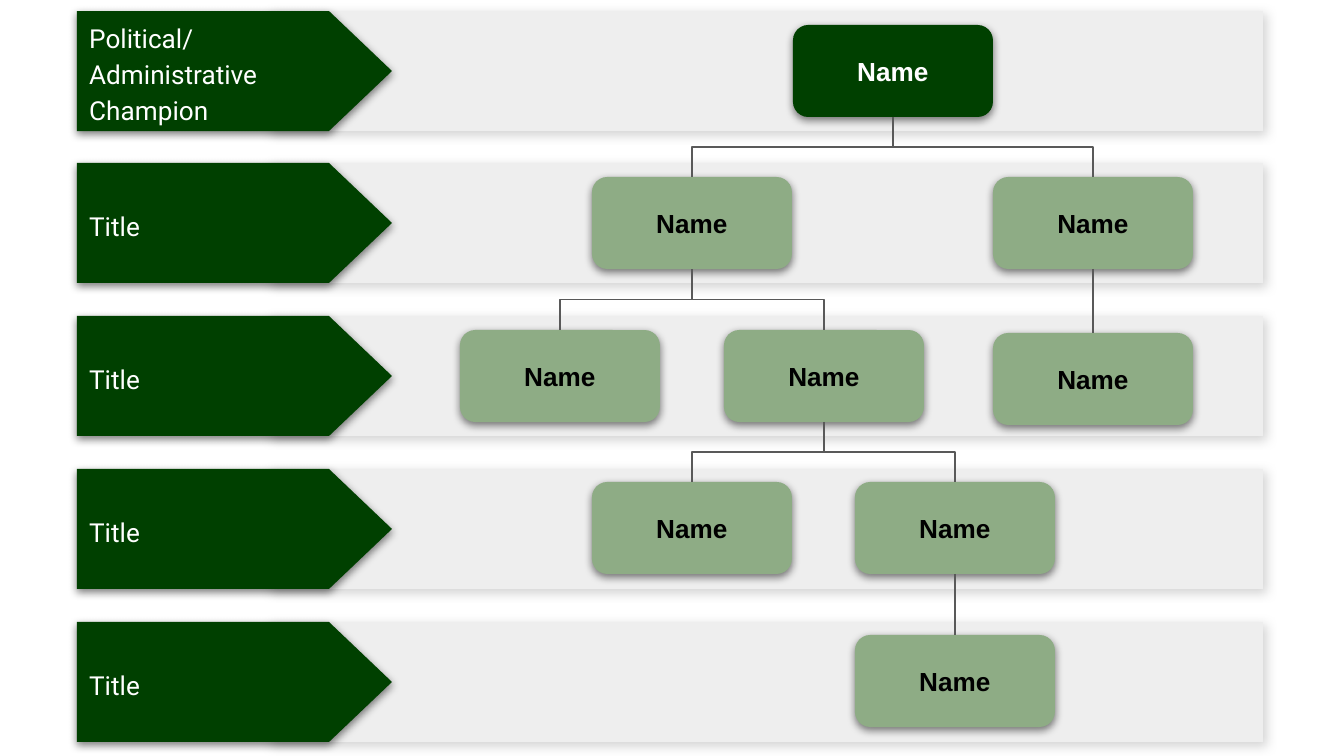
from lxml import etree
from pptx import Presentation
from pptx import util as u
from pptx.dml.color import RGBColor
from pptx.enum import shapes, text
from pptx.oxml.ns import qn

PX = u.Inches(10) / 1344
ROW_TOP, ROW_HEIGHT = 11, 120
NAME_WIDTH, NAME_HEIGHT = 200, 92
DARK, LIGHT, BAND = "004000", "8EAC85", "EEEEEE"
WHITE, BLACK, LINE = "FFFFFF", "000000", "595959"
BAND_SHADOW = {"alpha": 17, "blur": 5.6, "distance": 2.2, "angle": 45}
SHAPE_SHADOW = {"alpha": 50, "blur": 4.5, "distance": 1.5, "angle": 90}
TITLES = [["Political/", "Administrative Champion"], ["Title"], ["Title"], ["Title"], ["Title"]]
PEOPLE = {
    "champion": (0, 793, 14, DARK, WHITE),
    "left lead": (1, 592, 14, LIGHT, BLACK),
    "right lead": (1, 993, 14, LIGHT, BLACK),
    "left member": (2, 460, 14, LIGHT, BLACK),
    "middle member": (2, 724, 14, LIGHT, BLACK),
    "right member": (2, 993, 17, LIGHT, BLACK),
    "left report": (3, 592, 13, LIGHT, BLACK),
    "right report": (3, 855, 13, LIGHT, BLACK),
    "last report": (4, 855, 13, LIGHT, BLACK),
}
LINKS = [
    ("champion", "left lead"),
    ("champion", "right lead"),
    ("left lead", "left member"),
    ("left lead", "middle member"),
    ("middle member", "left report"),
    ("middle member", "right report"),
    ("right report", "last report"),
    ("right lead", "right member"),
]


def px(*lengths):
    """Turn pixel lengths into EMU."""
    return [u.Emu(round(length * PX)) for length in lengths]


def color(value):
    """Return the colour of a hex string."""
    return RGBColor.from_string(value)


def set_values(target, values):
    """Set every attribute named in a dict of format values."""
    for name, value in values.items():
        setattr(target, name, value)


def add_shadow(shape, alpha, blur, distance, angle):
    """Give a shape a soft black outer shadow."""
    shape.shadow.inherit = False
    effects = shape._element.spPr.find(qn("a:effectLst"))
    shadow = etree.SubElement(effects, qn("a:outerShdw"), {
        "blurRad": str(u.Pt(blur)), "dist": str(u.Pt(distance)),
        "dir": str(angle * 60000), "algn": "bl", "rotWithShape": "0"})
    tint = etree.SubElement(shadow, qn("a:srgbClr"), val=BLACK)
    etree.SubElement(tint, qn("a:alpha"), val=str(alpha * 1000))


def add_block(page, kind, box, fill, shadow):
    """Add a filled shape with a shadow and no outline."""
    block = page.shapes.add_shape(kind, *px(*box))
    block.fill.solid()
    block.fill.fore_color.rgb = color(fill)
    block.line.fill.background()
    add_shadow(block, **shadow)
    return block


def write(shape, lines, ink, font, para_format):
    """Write lines as paragraphs in the middle of a shape."""
    frame = shape.text_frame
    inset = u.Inches(0.1)
    set_values(frame, {
        "word_wrap": True, "vertical_anchor": text.MSO_ANCHOR.MIDDLE,
        "margin_left": inset, "margin_top": inset,
        "margin_right": inset, "margin_bottom": inset})
    for index, line in enumerate(lines):
        para = frame.add_paragraph() if index else frame.paragraphs[0]
        set_values(para, para_format)
        span = para.add_run()
        span.text = line
        set_values(span.font, {"size": u.Pt(14), **font})
        span.font.color.rgb = color(ink)


def add_row(page, box, lines):
    """Draw one level: grey band, pointed label and its title."""
    left, top, width, height = box
    band_left, label_width = 192, 315
    add_block(page, shapes.MSO_SHAPE.RECTANGLE,
              (left + band_left, top, width - band_left, height), BAND, BAND_SHADOW)
    turned_box = (left + (label_width - height) / 2, top + (height - label_width) / 2,
                  height, label_width)
    label = add_block(page, shapes.MSO_SHAPE.FLOWCHART_OFFPAGE_CONNECTOR,
                      turned_box, DARK, SHAPE_SHADOW)
    label.rotation = 270
    title = page.shapes.add_textbox(*px(left - 1, top + 15, 207, 92))
    write(title, lines, WHITE, {"name": "Roboto"},
          {"line_spacing": 1.15, "alignment": text.PP_ALIGN.LEFT})


def add_person(page, box, fill, ink):
    """Draw one rounded name box."""
    person = add_block(page, shapes.MSO_SHAPE.ROUNDED_RECTANGLE, box, fill, SHAPE_SHADOW)
    write(person, ["Name"], ink, {"name": "Arial", "bold": True},
          {"alignment": text.PP_ALIGN.CENTER})
    return person


def add_link(page, upper, lower):
    """Join the bottom of one name box to the top of another."""
    start_x, end_x = (person.left + person.width // 2 for person in (upper, lower))
    start_y, end_y = upper.top + upper.height, lower.top
    straight = start_x == end_x
    kind = shapes.MSO_CONNECTOR.STRAIGHT if straight else shapes.MSO_CONNECTOR.ELBOW
    link = page.shapes.add_connector(kind, start_x, start_y, end_x, end_y)
    link.begin_connect(upper, 2)
    link.end_connect(lower, 0)
    link.line.width = u.Pt(0.75)
    link.line.color.rgb = color(LINE)
    properties = link._element.spPr
    etree.SubElement(properties, qn("a:effectLst"))
    if not straight:
        drop, span = end_y - start_y, abs(end_x - start_x)
        set_values(link, {
            "left": (start_x + end_x - drop) // 2, "top": (start_y + end_y - span) // 2,
            "width": drop, "height": span})
        frame = properties.find(qn("a:xfrm"))
        frame.attrib.pop("flipH", None)
        rightward = end_x > start_x
        frame.set("rot", str((270 if rightward else 90) * 60000))
        if rightward:
            frame.set("flipH", "1")


def main():
    """Build the organisation chart."""
    deck = Presentation()
    deck.slide_width, deck.slide_height = px(1344, 756)
    page = deck.slides.add_slide(deck.slide_layouts[6])
    tops = [ROW_TOP + index * 611 // 4 for index in range(len(TITLES))]
    for top, lines in zip(tops, TITLES):
        add_row(page, (77, top, 1186, ROW_HEIGHT), lines)
    people = {
        name: add_person(page, (left, tops[row] + offset, NAME_WIDTH, NAME_HEIGHT), fill, ink)
        for name, (row, left, offset, fill, ink) in PEOPLE.items()}
    for upper, lower in LINKS:
        add_link(page, people[upper], people[lower])
    deck.save("out.pptx")


if __name__ == "__main__":
    main()
